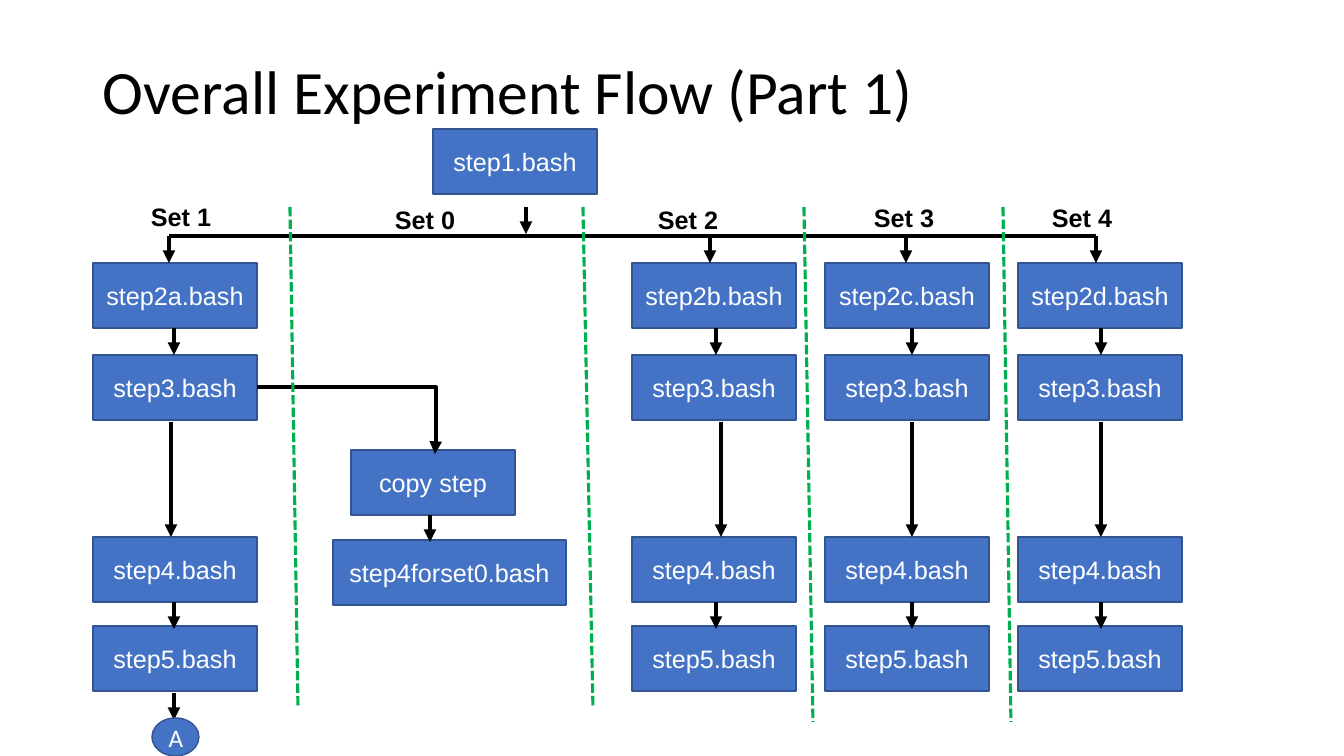
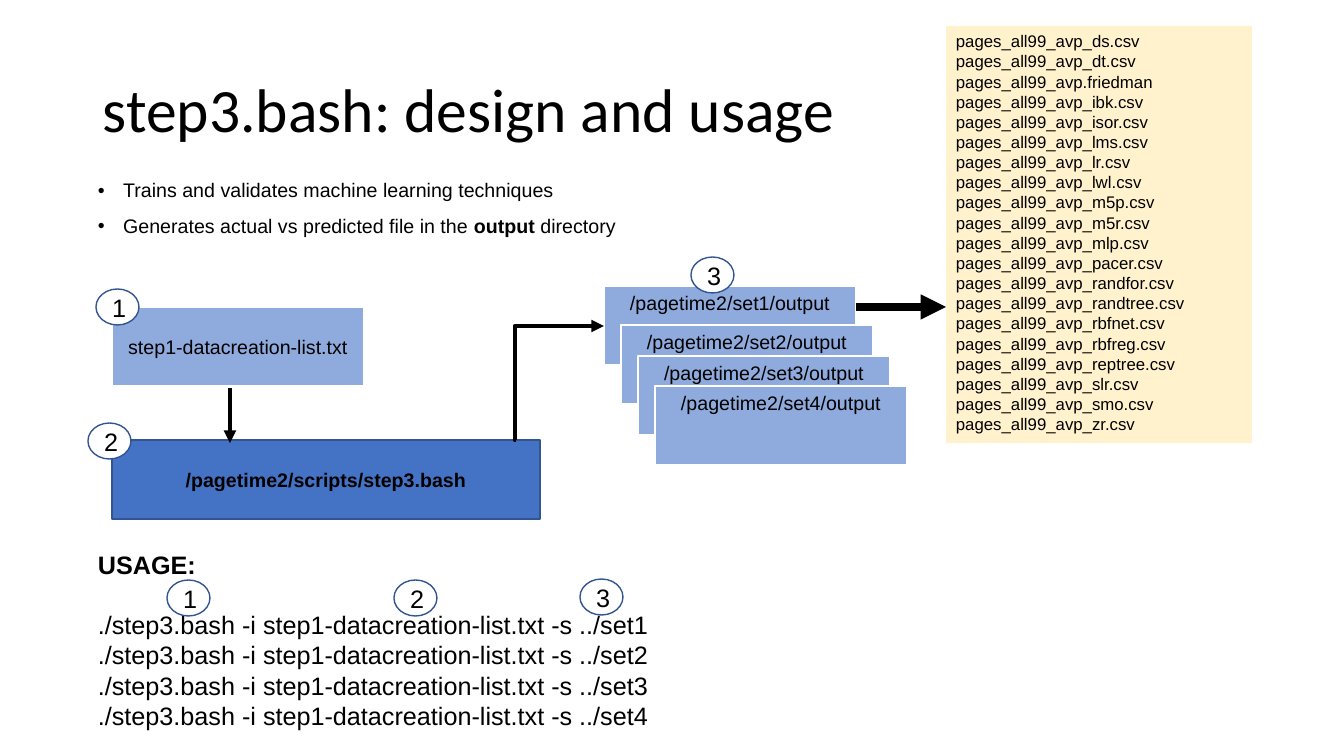
"""Build two slides on a scripted experiment flow: the overall flow and the use of step3.bash."""
from pptx import Presentation
from pptx.dml.color import RGBColor
from pptx.enum.dml import MSO_LINE as Dash
from pptx.enum.shapes import MSO_CONNECTOR as Connector, MSO_SHAPE as Preset
from pptx.enum.text import MSO_ANCHOR as Anchor, PP_ALIGN as Align
from pptx.oxml.ns import qn
from pptx.util import Emu, Pt
from lxml.etree import SubElement

SCALE = 914400 / 100.8
BLUE, PALE_BLUE, OUTLINE, CREAM = "4472C4", "8FAADC", "325491", "FFF2CC"
BLACK, WHITE, GREEN = "000000", "FFFFFF", "00B050"
STEP_SIZE = (164, 65)
PAGES = ("_ds.csv", "_dt.csv", ".friedman", "_ibk.csv", "_isor.csv", "_lms.csv", "_lr.csv",
         "_lwl.csv", "_m5p.csv", "_m5r.csv", "_mlp.csv", "_pacer.csv", "_randfor.csv",
         "_randtree.csv", "_rbfnet.csv", "_rbfreg.csv", "_reptree.csv", "_slr.csv",
         "_smo.csv", "_zr.csv")


def px(*lengths):
    return [Emu(round(length * SCALE)) for length in lengths]


def color(value):
    return RGBColor.from_string(value)


def apply(target, values):
    for name, value in values.items():
        setattr(target, name, value)


def write(shape, paragraphs, size=18, ink=BLACK, bold=False, font="Arial",
          anchor=Anchor.MIDDLE, **layout):
    frame = shape.text_frame
    apply(frame, {"word_wrap": True, "vertical_anchor": anchor})
    for index, content in enumerate(paragraphs):
        paragraph = frame.add_paragraph() if index else frame.paragraphs[0]
        apply(paragraph, {"alignment": Align.LEFT, **layout})
        runs = [(content, bold)] if isinstance(content, str) else content
        for text, is_bold in runs:
            run = paragraph.add_run()
            run.text = text
            apply(run.font, {"size": Pt(size), "name": font, "bold": is_bold})
            run.font.color.rgb = color(ink)
    return frame


def add_text(slide, box, paragraphs, **style):
    return write(slide.shapes.add_textbox(*px(*box)), paragraphs, **style)


def add_title(slide, top, text):
    add_text(slide, (93, top, 1159, 146), [text], size=44, font="Calibri", line_spacing=0.9)


def add_box(slide, box, paragraphs, fill=BLUE, outline=OUTLINE, preset=Preset.RECTANGLE, **style):
    shape = slide.shapes.add_shape(preset, *px(*box))
    shape.shadow.inherit = False
    shape.fill.solid()
    shape.fill.fore_color.rgb = color(fill)
    if outline:
        shape.line.color.rgb = color(outline)
        shape.line.width = Pt(1)
    else:
        shape.line.fill.background()
    write(shape, paragraphs, **{"alignment": Align.CENTER, **style})


def add_step(slide, left, top, text, width=STEP_SIZE[0]):
    add_box(slide, (left, top, width, STEP_SIZE[1]), [text], ink=WHITE)


def add_badge(slide, left, top, text):
    add_box(slide, (left, top, 43, 36), [text], fill=WHITE, preset=Preset.OVAL)


def add_line(slide, start, end, width=3, ink=BLACK, dash=None, kind=Connector.STRAIGHT):
    line = slide.shapes.add_connector(kind, *px(*start, *end))
    line.line.color.rgb = color(ink)
    apply(line.line, {"width": Pt(width), "dash_style": dash})
    SubElement(line._element.spPr, qn("a:effectLst"))
    return line


def add_arrowhead(line, end="tailEnd"):
    SubElement(line.line._get_or_add_ln(), qn(f"a:{end}"), type="triangle")


def add_arrow(slide, start, end, width=3):
    add_arrowhead(add_line(slide, start, end, width))


def add_elbow(slide, start, end, arrow_end):
    line = add_line(slide, start, end, kind=Connector.ELBOW)
    guides = line._element.spPr.find(qn("a:prstGeom")).get_or_add_avLst()
    SubElement(guides, qn("a:gd"), name="adj1", fmla="val 100400")
    add_arrowhead(line, arrow_end)


def add_bullets(slide, box, paragraphs):
    frame = add_text(slide, box, paragraphs, size=14, anchor=Anchor.TOP,
                     line_spacing=0.9, space_before=Pt(10))
    for paragraph in frame.paragraphs:
        properties = paragraph._p.get_or_add_pPr()
        for name, value in {"marL": "228600", "indent": "-228600"}.items():
            properties.set(name, value)
        SubElement(properties, qn("a:buFont"), typeface="Arial")
        SubElement(properties, qn("a:buChar"), char="•")


def build_flow(slide):
    add_title(slide, 22, "Overall Experiment Flow (Part 1)")
    add_step(slide, 433, 129, "step1.bash")
    columns = ((93, "a", 169, 174, 171), (632, "b", 710, 716, 721),
               (825, "c", 906, 912, 912), (1018, "d", 1096, 1101, 1101))
    for left, letter, entry_x, short_x, long_x in columns:
        rows = ((263, f"step2{letter}.bash"), (355, "step3.bash"),
                (537, "step4.bash"), (626, "step5.bash"))
        for top, text in rows:
            add_step(slide, left, top, text)
        arrows = ((entry_x, 236, 263), (short_x, 328, 355), (long_x, 422, 537),
                  (short_x, 602, 629))
        for x, top, bottom in arrows:
            add_arrow(slide, (x, top), (x, bottom))
    add_step(slide, 351, 450, "copy step")
    add_step(slide, 333, 540, "step4forset0.bash", 233)
    for x, top in ((430, 515), (526, 207), (174, 693)):
        add_arrow(slide, (x, top), (x, top + 27))
    add_elbow(slide, (257, 387), (435, 454), "tailEnd")
    add_line(slide, (169, 236), (1096, 236), 2.25)
    for top_x, bottom_x, bottom in ((290, 298, 708), (583, 593, 708),
                                    (804, 813, 722), (1003, 1011, 722)):
        add_line(slide, (top_x, 207), (bottom_x, bottom), 2.25, GREEN, Dash.SQUARE_DOT)
    for number, left, top in ((1, 99, 184), (0, 343, 187), (2, 606, 187),
                              (3, 822, 185), (4, 1000, 185)):
        add_text(slide, (left, top, *STEP_SIZE), [f"Set {number}"], bold=True,
                 alignment=Align.CENTER)
    add_box(slide, (152, 718, 47, 38), ["A"], preset=Preset.OVAL, ink=WHITE, font="Calibri")


def build_usage(slide):
    add_title(slide, 40, "step3.bash: design and usage")
    commands = [f"./step3.bash -i step1-datacreation-list.txt -s ../set{number}"
                for number in range(1, 5)]
    usage = add_text(slide, (88, 544, 1198, 194), [[("USAGE:", True)], *commands],
                     anchor=Anchor.TOP)
    usage.paragraphs[1].space_before = Pt(21.6)
    add_bullets(slide, (88, 176, 780, 113), [
        "Trains and validates machine learning techniques",
        [("Generates actual vs predicted file in the ", False), ("output", True),
         (" directory", False)]])
    add_box(slide, (946, 26, 306, 417), [f"pages_all99_avp{page}" for page in PAGES],
            fill=CREAM, outline=None, size=12, anchor=Anchor.TOP, alignment=Align.LEFT)
    add_box(slide, (112, 440, 428, 79), ["/pagetime2/scripts/step3.bash"], size=14, bold=True)
    add_box(slide, (112, 307, 252, 79), ["step1-datacreation-list.txt"],
            fill=PALE_BLUE, outline=WHITE, size=14)
    add_arrow(slide, (230, 388), (230, 443))
    for index, top in enumerate((286, 325, 356, 386)):
        add_box(slide, (604 + 17 * index, top, 252, 79), [f"/pagetime2/set{index + 1}/output"],
                fill=PALE_BLUE, outline=WHITE, size=14, anchor=Anchor.TOP)
    add_elbow(slide, (604, 326), (515, 440), "headEnd")
    add_arrow(slide, (856, 307), (946, 307), 6)
    for text, left, top in (("1", 96, 289), ("2", 88, 423), ("3", 691, 257),
                            ("1", 167, 580), ("2", 394, 580), ("3", 580, 579)):
        add_badge(slide, left, top, text)


def main():
    presentation = Presentation()
    width, height = px(1344, 756)
    apply(presentation, {"slide_width": width, "slide_height": height})
    for build in (build_flow, build_usage):
        build(presentation.slides.add_slide(presentation.slide_layouts[6]))
    presentation.save("out.pptx")


main()
